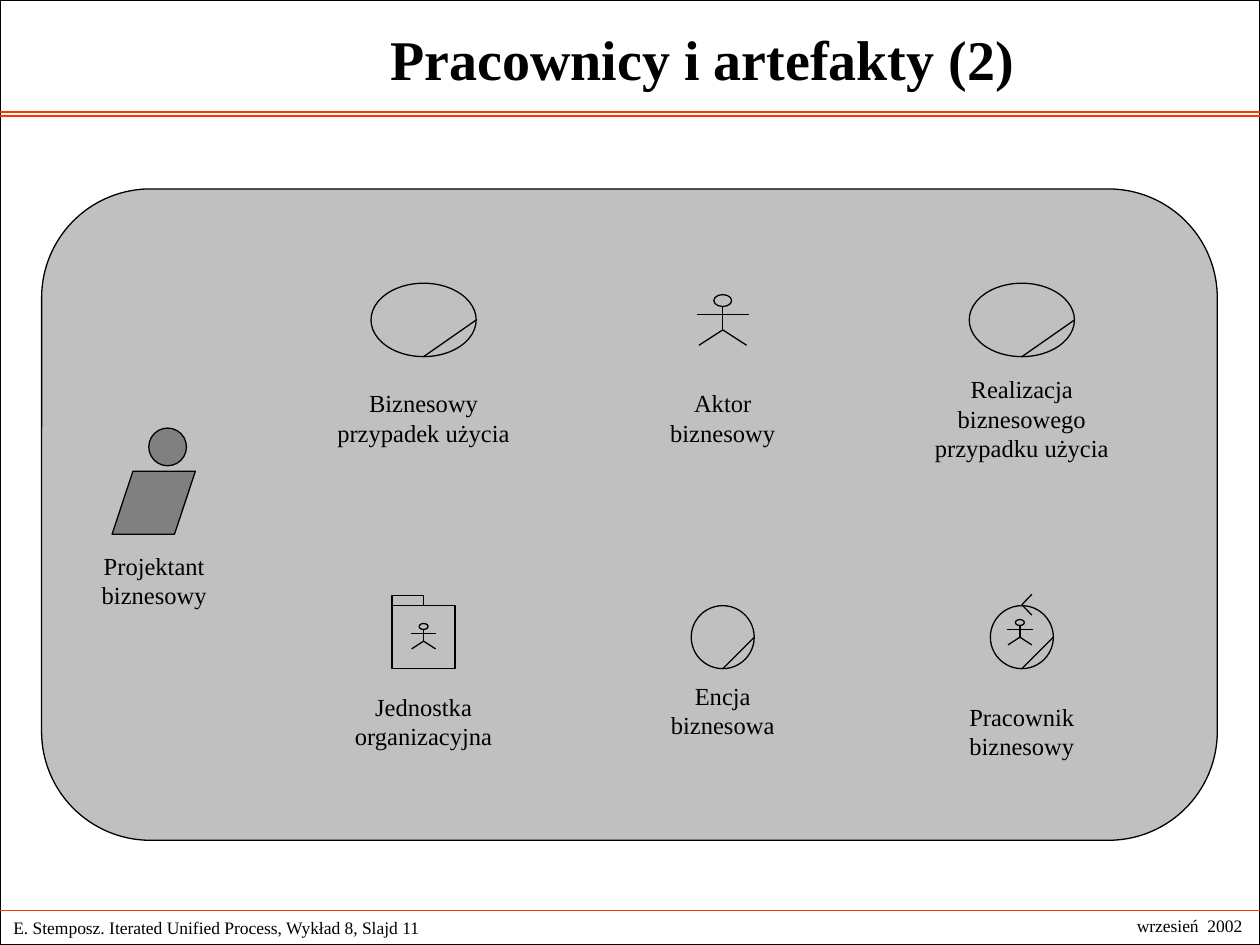
from lxml import etree
from pptx import Presentation
from pptx.dml.color import RGBColor
from pptx.enum.shapes import MSO_CONNECTOR, MSO_SHAPE
from pptx.enum.text import MSO_ANCHOR, PP_ALIGN
from pptx.oxml.ns import qn
from pptx.util import Cm, Pt

STRAIGHT = MSO_CONNECTOR.STRAIGHT
RECTANGLE, ROUNDED = MSO_SHAPE.RECTANGLE, MSO_SHAPE.ROUNDED_RECTANGLE
OVAL, PARALLELOGRAM = MSO_SHAPE.OVAL, MSO_SHAPE.PARALLELOGRAM
MIDDLE = MSO_ANCHOR.MIDDLE
LEFT, CENTER = PP_ALIGN.LEFT, PP_ALIGN.CENTER

COLORS = {"black": "000000", "white": "FFFFFF", "rule": "FF3300",
          "panel": "C0C0C0", "worker": "808080"}
FONT = "Times New Roman"


def add_outlined(parent, kind, left, top, width, height, fill=None):
    shape = parent.shapes.add_shape(kind, Cm(left), Cm(top), Cm(width), Cm(height))
    shape.shadow.inherit = False
    if fill:
        shape.fill.solid()
        shape.fill.fore_color.rgb = RGBColor.from_string(COLORS[fill])
    else:
        shape.fill.background()
    shape.line.color.rgb = RGBColor.from_string(COLORS["black"])
    shape.line.width = Pt(0.75)
    return shape


def add_line(parent, x1, y1, x2, y2, color="black"):
    line = parent.shapes.add_connector(STRAIGHT, Cm(x1), Cm(y1), Cm(x2), Cm(y2))
    line.line.color.rgb = RGBColor.from_string(COLORS[color])
    line.line.width = Pt(0.75)
    etree.SubElement(line._element.spPr, qn("a:effectLst"))


presentation = Presentation()
presentation.slide_width, presentation.slide_height = Cm(25.4), Cm(19.05)
slide = presentation.slides.add_slide(presentation.slide_layouts[5])

add_outlined(slide, RECTANGLE, 0, 0, 25.4, 19.05, "white")
for y in (2.26, 2.34, 18.36):
    add_line(slide, 0, y, 25.4, y, "rule")

title = slide.shapes.title
slide.shapes._spTree.append(title._element)
title.left, title.top, title.width, title.height = Cm(2.95), Cm(0), Cm(22.43), Cm(2.34)
title.text_frame.text = "Pracownicy i artefakty (2)"
title.text_frame.vertical_anchor = MIDDLE
title_paragraph = title.text_frame.paragraphs[0]
title_paragraph.alignment = CENTER
for name, value in {"name": FONT, "size": Pt(32), "bold": True}.items():
    setattr(title_paragraph.font, name, value)
title_paragraph.font.color.rgb = RGBColor.from_string(COLORS["black"])

panel = add_outlined(slide, ROUNDED, 0.84, 3.81, 23.7, 13.13, "panel")
panel.adjustments[0] = 0.167

columns = [8.54 + 6.03 * index for index in range(3)]
use_case, actor, realization = [slide.shapes.add_group_shape() for _ in columns]
unit, entity, worker = [slide.shapes.add_group_shape() for _ in columns]
designer = slide.shapes.add_group_shape()

body = add_outlined(designer, PARALLELOGRAM, 2.26, 9.5, 1.68, 1.27, "worker")
body.adjustments[0] = 0.332
add_outlined(designer, OVAL, 3, 8.63, 0.76, 0.76, "worker")

for group, center, top, width, height in (
    (use_case, columns[0], 5.71, 2.12, 1.48),
    (realization, columns[2], 5.71, 2.12, 1.48),
    (entity, columns[1], 12.21, 1.27, 1.27),
    (worker, columns[2], 12.21, 1.27, 1.27),
):
    add_outlined(group, OVAL, center - width / 2, top, width, height)
    add_line(group, center, top + height, center + width / 2, top + height / 2)

for y in (11.98, 12.4):
    add_line(worker, columns[2], 12.19, columns[2] + 0.2, y)

package_left = columns[0] - 0.635
add_outlined(unit, RECTANGLE, package_left, 12.21, 1.27, 1.27)
add_outlined(unit, RECTANGLE, package_left, 12, 0.635, 0.21)

for group, center, top, scale in (
    (actor, columns[1], 5.94, 1),
    (unit, columns[0], 12.57, 0.5),
    (worker, columns[2] - 0.04, 12.49, 0.5),
):
    add_outlined(group, OVAL, center - 0.18 * scale, top, 0.36 * scale, 0.24 * scale)
    for x1, y1, x2, y2 in (
        (0, 0.24, 0, 0.71),
        (-0.52, 0.4, 0.52, 0.4),
        (0, 0.71, 0.48, 1.02),
        (0, 0.71, -0.48, 1.02),
    ):
        add_line(group, center + x1 * scale, top + y1 * scale,
                 center + x2 * scale, top + y2 * scale)

for lines, center, top, width, height, size, alignment in (
    (["Projektant", "biznesowy"], 3.11, 10.97, 2.62, 1.45, 14, CENTER),
    (["Biznesowy", "przypadek użycia"], columns[0], 7.7, 3.99, 1.45, 14, CENTER),
    (["Aktor", "biznesowy"], columns[1], 7.7, 2.62, 1.45, 14, CENTER),
    (["Realizacja", "biznesowego", "przypadku użycia"],
     columns[2], 7.42, 4.01, 2.03, 14, CENTER),
    (["Jednostka", "organizacyjna"], columns[0], 13.82, 3.28, 1.45, 14, CENTER),
    (["Encja", "biznesowa"], columns[1], 13.59, 2.59, 1.45, 14, CENTER),
    (["Pracownik ", "biznesowy"], columns[2], 14.02, 2.74, 1.45, 14, CENTER),
    (["E. Stemposz. Iterated Unified Process, Wykład 8, Slajd 11"],
     5.71, 18.36, 11.38, 0.69, 10, LEFT),
    (["wrzesień  2002"], 23.98, 18.31, 2.64, 0.69, 10, CENTER),
):
    box = slide.shapes.add_textbox(Cm(center - width / 2), Cm(top), Cm(width), Cm(height))
    frame = box.text_frame
    frame.word_wrap = False
    frame.vertical_anchor = MIDDLE
    frame.text = "\n".join(lines)
    for paragraph in frame.paragraphs:
        paragraph.alignment = alignment
        for name, value in {"name": FONT, "size": Pt(size)}.items():
            setattr(paragraph.font, name, value)
        paragraph.font.color.rgb = RGBColor.from_string(COLORS["black"])
    if alignment == LEFT:
        frame.word_wrap = True

presentation.save("out.pptx")
